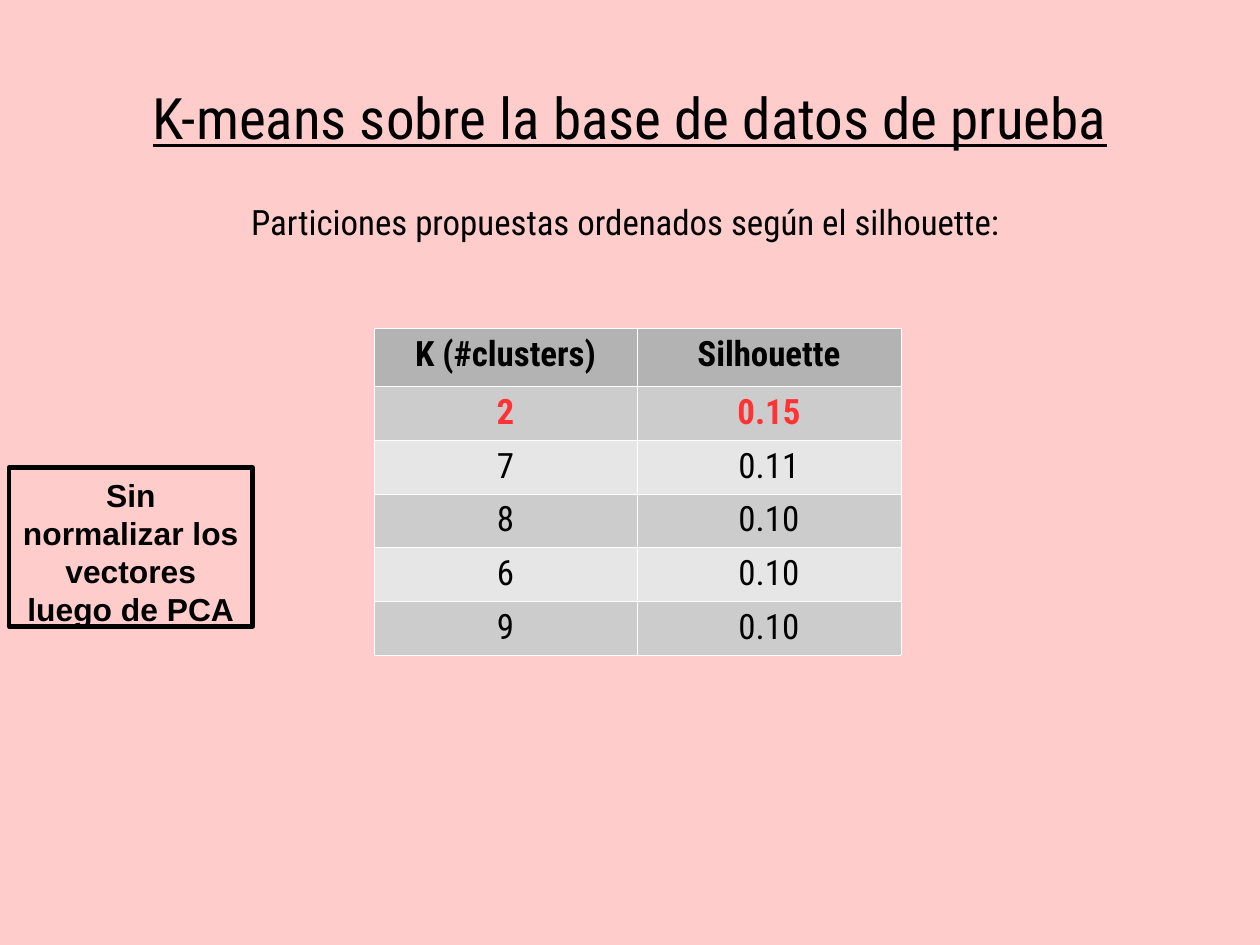
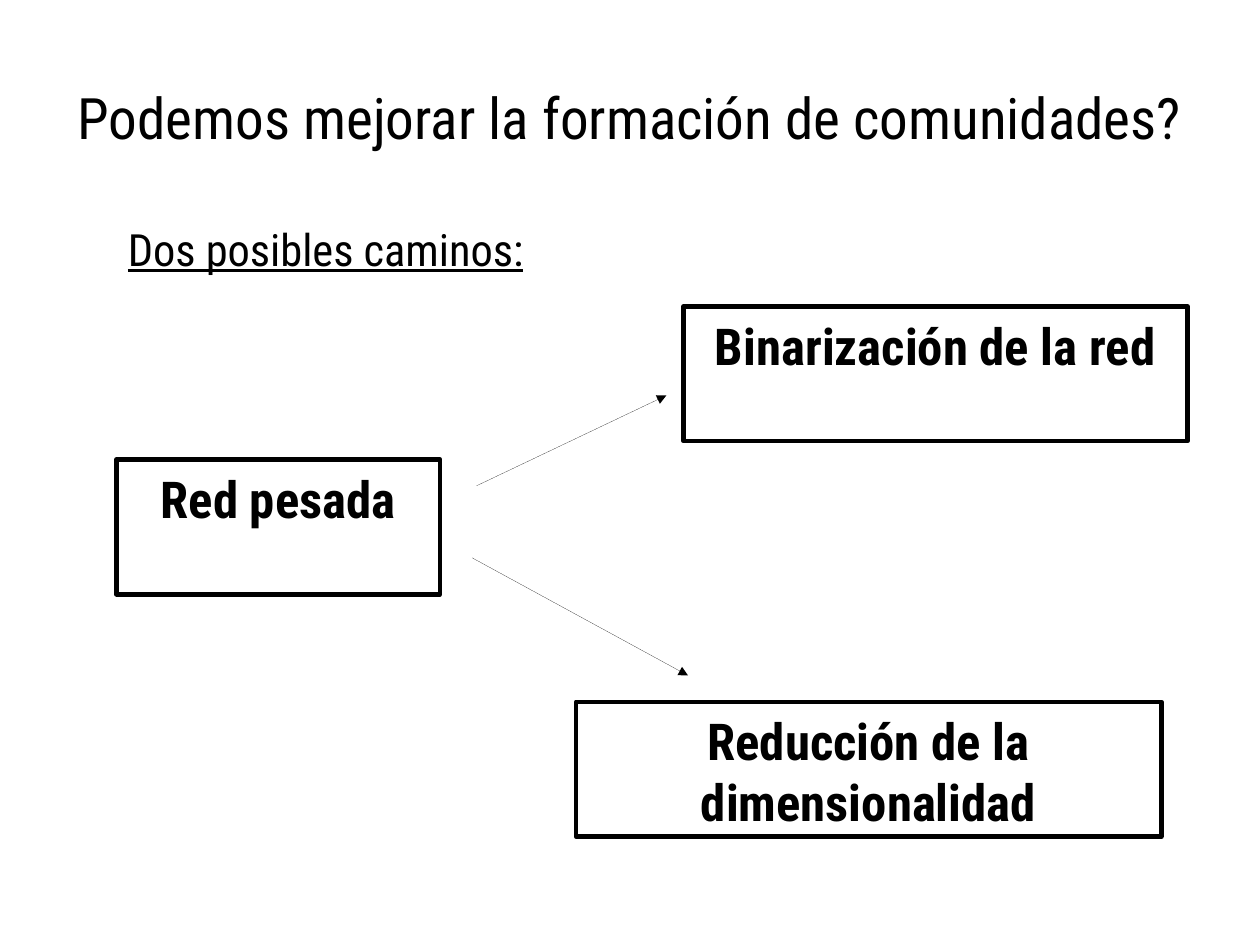
"""Build two slides on clustering with a shared title and box style."""
from lxml.etree import SubElement
from pptx import Presentation
from pptx.dml.color import RGBColor
from pptx.enum.shapes import MSO_CONNECTOR, MSO_SHAPE
from pptx.enum.text import MSO_ANCHOR, MSO_AUTO_SIZE, PP_ALIGN
from pptx.oxml.ns import qn
from pptx.util import Inches, Pt

TONES = {"ink": "000000", "pink": "FFCCCC", "white": "FFFFFF", "red": "FF3333",
         "head": "B3B3B3", "dark": "CCCCCC", "light": "E6E6E6"}
FONT = {"name": "Roboto Condensed", "size": Pt(22), "bold": False, "underline": False}
FRAME = {"word_wrap": True, "auto_size": MSO_AUTO_SIZE.NONE,
         "vertical_anchor": MSO_ANCHOR.TOP}
SIDES = ("margin_left", "margin_top", "margin_right", "margin_bottom")
SIZE = {"slide_width": Inches(28 / 2.54), "slide_height": Inches(21 / 2.54)}
ROWS = (("K (#clusters)", "Silhouette"), ("2", "0.15"), ("7", "0.11"),
        ("8", "0.10"), ("6", "0.10"), ("9", "0.10"))


def tone(key):
    return RGBColor.from_string(TONES[key])


def apply(item, values):
    for key, value in values.items():
        setattr(item, key, value)


def write(frame, text, align=PP_ALIGN.CENTER, color="ink", **font):
    frame.text = text
    line = frame.paragraphs[0]
    line.alignment = align
    style = line.runs[0].font
    apply(style, {**FONT, **font})
    style.color.rgb = tone(color)


def inset(frame, wide, high):
    apply(frame, {**FRAME, **dict(zip(SIDES, map(Inches, (wide, high) * 2)))})


def start(deck, title, back, **font):
    slide = deck.slides.add_slide(deck.slide_layouts[5])
    fill = slide.background.fill
    fill.solid()
    fill.fore_color.rgb = tone(back)
    head = slide.shapes.title
    apply(head, {"left": Inches(0.55), "top": Inches(0.33),
                 "width": Inches(9.92), "height": Inches(1.38)})
    inset(head.text_frame, 0, 0)
    head.text_frame.vertical_anchor = MSO_ANCHOR.MIDDLE
    write(head.text_frame, title, size=Pt(36), **font)
    return slide


def label(slide, place, text, **style):
    frame = slide.shapes.add_textbox(*map(Inches, place)).text_frame
    inset(frame, 0.1, 0.05)
    write(frame, text, **style)


def box(slide, place, text, **font):
    shape = slide.shapes.add_shape(MSO_SHAPE.RECTANGLE, *map(Inches, place))
    shape.shadow.inherit = False
    shape.fill.background()
    shape.line.color.rgb = tone("ink")
    shape.line.width = Pt(2.83)
    inset(shape.text_frame, 0.12, 0.07)
    write(shape.text_frame, text, **{"size": Pt(32), "bold": True, **font})


def arrow(slide, ends):
    link = slide.shapes.add_connector(MSO_CONNECTOR.STRAIGHT, *map(Inches, ends))
    link.line.color.rgb = tone("ink")
    props = link._element.spPr.find(qn("a:ln"))
    props.set("w", "0")
    SubElement(props, qn("a:tailEnd"), type="triangle")
    SubElement(link._element.spPr, qn("a:effectLst"))


def edge(cell):
    props = cell._tc.get_or_add_tcPr()
    for side in ("lnL", "lnR", "lnT", "lnB"):
        line = SubElement(props, qn(f"a:{side}"), w=str(Pt(0.06)))
        fill = SubElement(line, qn("a:solidFill"))
        SubElement(fill, qn("a:srgbClr"), val=TONES["white"])


def grid(slide, place):
    table = slide.shapes.add_table(len(ROWS), len(ROWS[0]), *map(Inches, place)).table
    for r, row in enumerate(ROWS):
        table.rows[r].height = Inches(0.47 if r else 0.51)
        shade = ("light", "dark")[r % 2] if r else "head"
        for c, text in enumerate(row):
            cell = table.cell(r, c)
            edge(cell)
            cell.fill.solid()
            cell.fill.fore_color.rgb = tone(shade)
            write(cell.text_frame, text, color="red" if r == 1 else "ink", bold=r < 2)


def main():
    deck = Presentation()
    apply(deck, SIZE)

    means = start(deck, "K-means sobre la base de datos de prueba", "pink", underline=True)
    grid(means, (3.27, 2.87, 4.61, 2.86))
    label(means, (0.55, 1.71, 9.84, 0.81),
          "Particiones propuestas ordenados según el silhouette:")
    box(means, (0.08, 4.09, 2.13, 1.39), "Sin normalizar los vectores luego de PCA",
        name="Arial", size=Pt(20))

    paths = start(deck, "Podemos mejorar la formación de comunidades?", "white")
    for left, top, width, text in ((1.02, 4.02, 2.83, "Red pesada"),
                                   (5.98, 2.68, 4.41, "Binarización de la red"),
                                   (5.04, 6.14, 5.12, "Reducción de la dimensionalidad")):
        box(paths, (left, top, width, 1.18), text)
    for ends in ((4.17, 4.25, 5.83, 3.46), (4.13, 4.88, 6.02, 5.91)):
        arrow(paths, ends)
    label(paths, (1.02, 1.89, 8.03, 0.55), "Dos posibles caminos:",
          align=PP_ALIGN.LEFT, size=Pt(28), underline=True)
    deck.save("out.pptx")


if __name__ == "__main__":
    main()
